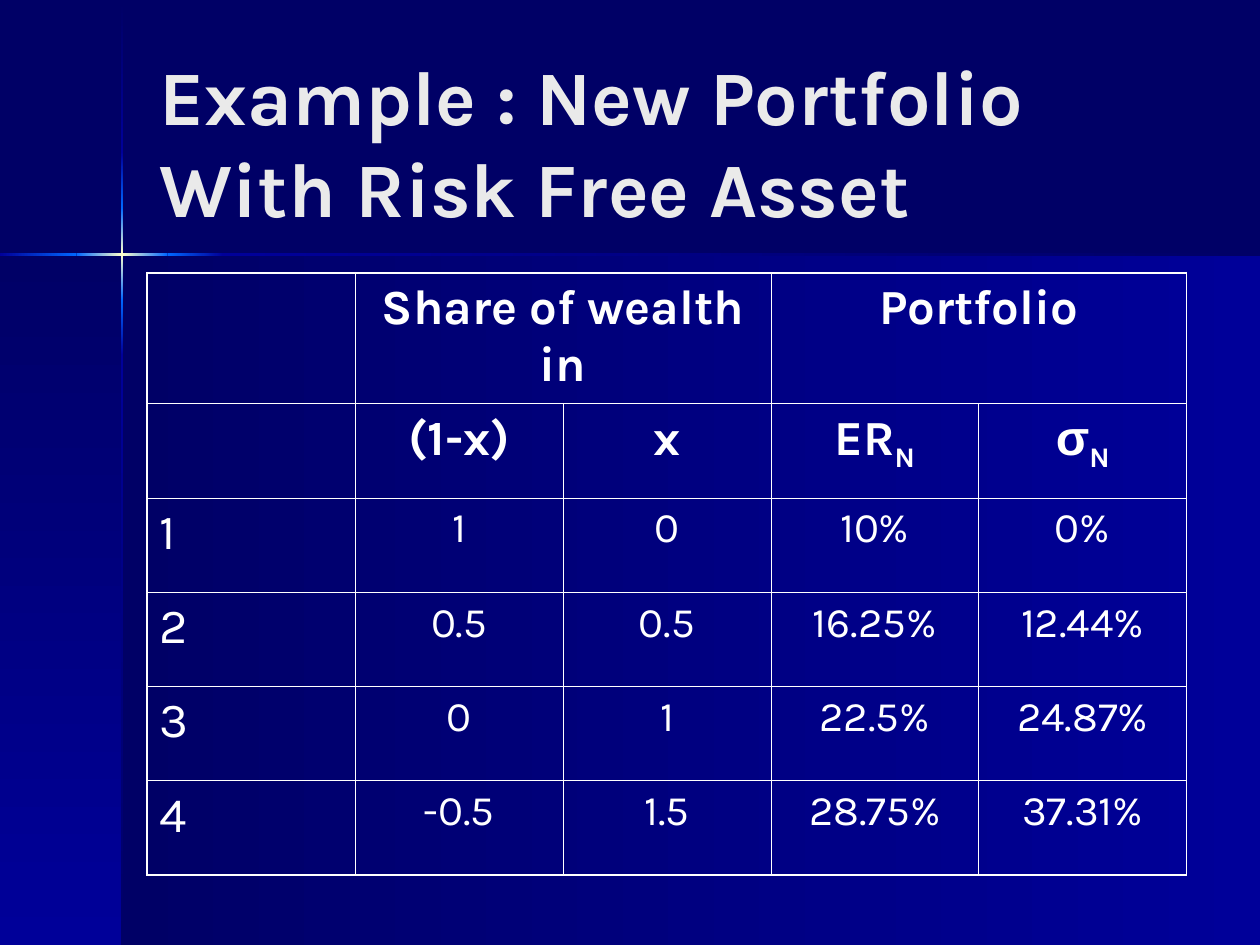
from lxml import etree
from pptx import Presentation
from pptx import util as u
from pptx.dml.color import RGBColor
from pptx.enum import shapes, text
from pptx.oxml import ns

WIDE, HIGH = 25.4, 19.05
NAVY, BLUE, AZURE, CREAM = "000066", "000099", "0066FF", "FFFFCC"
WHITE, PALE = "FFFFFF", "EAEAEA"


def color(code):
    return RGBColor.from_string(code)


def add(node, tag, **attrs):
    return etree.SubElement(node, ns.qn(tag), attrs)


class Deck:
    font = "Karla"
    thin, thick = 0.45, 1.08

    def __init__(self):
        self.prs = Presentation()
        self.prs.slide_width, self.prs.slide_height = u.Cm(WIDE), u.Cm(HIGH)
        self.slide = self.prs.slides.add_slide(self.prs.slide_layouts[6])

    def ground(self, code):
        fill = self.slide.background.fill
        fill.solid()
        fill.fore_color.rgb = color(code)

    def panel(self, left, top, width, height, codes, down):
        """Add a rectangle shaded evenly through codes, down or rightwards."""
        box = self.slide.shapes.add_shape(
            shapes.MSO_SHAPE.RECTANGLE, *map(u.Cm, (left, top, width, height)))
        box.shadow.inherit = False
        box.line.fill.background()
        box.fill.gradient()
        box.fill.gradient_angle = 270 if down else 0
        stops = box._element.spPr.find(".//" + ns.qn("a:gsLst"))
        for old in list(stops):
            stops.remove(old)
        for i, code in enumerate(codes):
            stop = add(stops, "a:gs", pos=str(100000 * i // (len(codes) - 1)))
            add(stop, "a:srgbClr", val=code)

    def style(self, run, size, code, bold):
        font = run.font
        font.name = "Arial" if run.text == "σ" else self.font
        font.size, font.bold = u.Pt(size), bold
        font.color.rgb = color(code)

    def title(self, words, left, top, width, height):
        box = self.slide.shapes.add_textbox(
            *map(u.Cm, (left, top, width, height)))
        frame = box.text_frame
        frame.word_wrap = True
        frame.vertical_anchor = text.MSO_ANCHOR.MIDDLE
        frame.text = words
        self.style(frame.paragraphs[0].runs[0], 44, PALE, True)

    def label(self, cell, words, size, bold, center):
        """Fill a cell; what follows an underscore is a subscript."""
        para = cell.text_frame.paragraphs[0]
        para.space_before = u.Pt(size / 4)
        if center:
            para.alignment = text.PP_ALIGN.CENTER
        for i, part in enumerate(words.split("_")):
            run = para.add_run()
            run.text = part
            self.style(run, size, WHITE, bold)
            if i:
                run._r.get_or_add_rPr().set("baseline", "-25000")

    def frame(self, cell, outer):
        """Draw the four edges of a cell, thick where outer says so."""
        props = cell._tc.get_or_add_tcPr()
        for side in "LRTB":
            width = u.Pt(self.thick if outer[side] else self.thin)
            line = add(props, "a:ln" + side, w=str(int(width)))
            add(add(line, "a:solidFill"), "a:srgbClr", val=WHITE)
        cell.fill.background()

    def table(self, rows, left, top, wide, highs, heads, spans):
        nrow, ncol = len(rows), len(rows[0])
        grid = self.slide.shapes.add_table(
            nrow, ncol, u.Cm(left), u.Cm(top),
            u.Cm(wide * ncol), u.Cm(sum(highs))).table
        grid.first_row = grid.horz_banding = False
        for col in grid.columns:
            col.width = u.Cm(wide)
        for r, (row, high) in enumerate(zip(rows, highs)):
            grid.rows[r].height = u.Cm(high)
            for c, words in enumerate(row):
                cell = grid.cell(r, c)
                self.frame(cell, {"L": c == 0, "R": c == ncol - 1,
                                  "T": r == 0, "B": r == nrow - 1})
                if words:
                    head = r < heads
                    size = 28 if head or c == 0 else 24
                    self.label(cell, words, size, head, c > 0)
        for c in spans:
            grid.cell(0, c).merge(grid.cell(0, c + 1))


def main():
    deck = Deck()
    deck.ground(NAVY)

    # The star sits where the side band meets the main area
    x, y, thin = 2.46, 5.13, 0.05
    deck.panel(x, y, WIDE - x, HIGH - y, (NAVY, BLUE), False)
    deck.panel(0, y, x, HIGH - y, (NAVY, BLUE), True)

    glow = (AZURE, CREAM, AZURE)
    rise, fade = (BLUE, AZURE), (AZURE, BLUE)
    stem = (0.03, 3.07, 4.19, 6.05, 7.16, HIGH)
    shades = ((NAVY, BLUE), rise, glow, fade, (BLUE, NAVY))
    for start, end, codes in zip(stem, stem[1:], shades):
        deck.panel(x - thin / 2, start, thin, end - start, codes, True)
    beam = (0, 1.54, 3.38, 4.5, WIDE)
    shades = (rise, glow, fade, (BLUE, NAVY))
    for start, end, codes in zip(beam, beam[1:], shades):
        deck.panel(start, y - thin / 2, end - start, thin, codes, False)

    left = 2.97
    deck.title("Example : New Portfolio With Risk Free Asset",
               left, 0.84, 20.95, 3.99)
    rows = [
        ["", "Share of wealth in", "", "Portfolio", ""],
        ["", "(1-x)", "x", "ER_N", "σ_N"],
        ["1", "1", "0", "10%", "0%"],
        ["2", "0.5", "0.5", "16.25%", "12.44%"],
        ["3", "0", "1", "22.5%", "24.87%"],
        ["4", "-0.5", "1.5", "28.75%", "37.31%"],
    ]
    deck.table(rows, left, 5.5, 4.19, [2.64] + [1.9] * 5,
               heads=2, spans=(1, 3))
    deck.prs.save("out.pptx")


if __name__ == "__main__":
    main()
